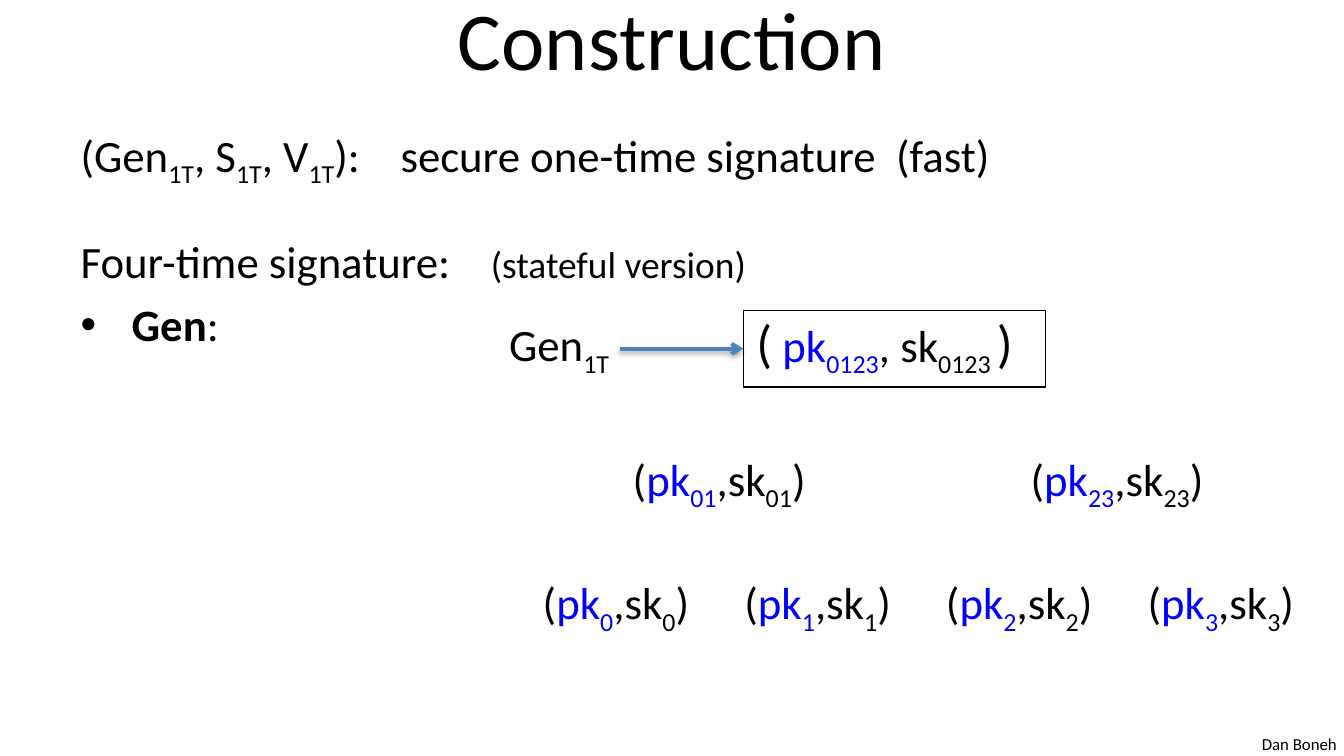
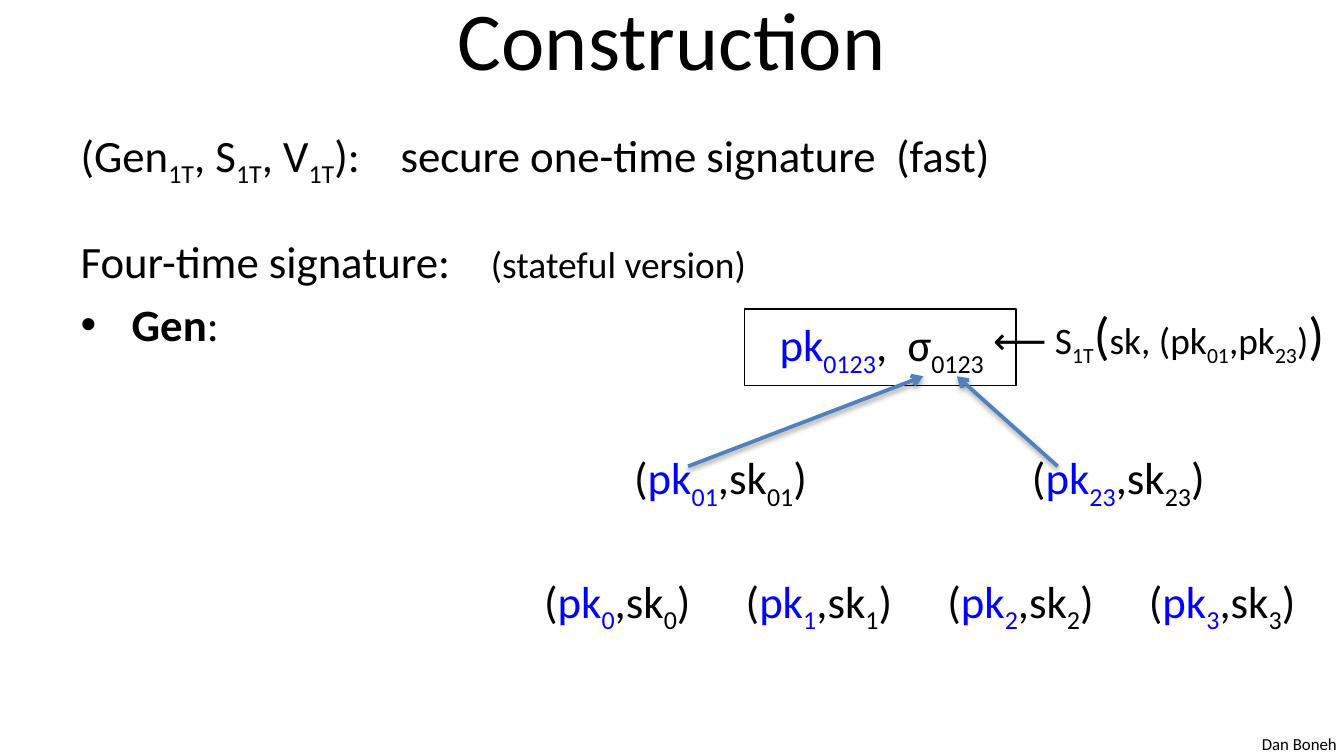
from typing import NamedTuple

from lxml import etree
from pptx import Presentation
from pptx import util as u
from pptx.dml.color import RGBColor
from pptx.enum import shapes, text
from pptx.oxml.ns import qn

BLACK = RGBColor(0, 0, 0)
BLUE = RGBColor(0, 0, 0xFF)
STEEL = RGBColor(0x4F, 0x81, 0xBD)
FONT = "Calibri"


class Run(NamedTuple):
    text: str
    size: float = 24
    ink: RGBColor = BLACK
    sub: bool = False
    bold: bool = False
    wide: float = 0


class Para(NamedTuple):
    runs: list[Run]
    gap: float = 0
    mark: str = ""


class Area(NamedTuple):
    x: float
    y: float
    w: float
    h: float

    def dims(self) -> list[int]:
        return [u.Inches(v) for v in self]


def low(tag: str, size: float = 24, ink: RGBColor = BLACK) -> Run:
    return Run(tag, size, ink, sub=True)


def pair(tag: str, comma: str = ",") -> list[Run]:
    return [Run("pk", ink=BLUE), low(tag, ink=BLUE), Run(comma + "sk"), low(tag)]


NARROW = Run(" ", wide=5.4)
BROAD = Run(" ", wide=16.3)
BODY = [
    Para([Run("(Gen"), low("1T"), Run(", S"), low("1T"), Run(", V"), low("1T"),
          Run("):"), BROAD, Run("secure one-time signature"), NARROW, Run("(fast)")]),
    Para([Run("Four-time signature:"), BROAD, Run("(stateful version)", 20)], gap=24.2),
    Para([Run("Gen", bold=True), Run(":")], gap=4.8, mark="•"),
]


def style(run, look: Run) -> None:
    font = run.font
    font.name, font.size, font.bold = FONT, u.Pt(look.size), look.bold
    font.color.rgb = look.ink
    props = run._r.get_or_add_rPr()
    if look.sub:
        props.set("baseline", "-25000")
    if look.wide:
        props.set("spc", str(round(look.wide * 100)))


def write(para, data: Para) -> None:
    props = para._p.get_or_add_pPr()
    hang = u.Inches(0.38) if data.mark else 0
    props.set("marL", str(hang))
    props.set("indent", str(-hang))
    if data.mark:
        etree.SubElement(props, qn("a:buChar")).set("char", data.mark)
    else:
        etree.SubElement(props, qn("a:buNone"))
    para.space_before = u.Pt(data.gap)
    for look in data.runs:
        run = para.add_run()
        run.text = look.text
        style(run, look)


def place(shape, area: Area) -> None:
    shape.left, shape.top, shape.width, shape.height = area.dims()


def label(slide, area: Area, runs: list[Run]) -> None:
    frame = slide.shapes.add_textbox(*area.dims()).text_frame
    frame.word_wrap = False
    frame.auto_size = text.MSO_AUTO_SIZE.SHAPE_TO_FIT_TEXT
    write(frame.paragraphs[0], Para(runs))


def panel(slide, area: Area, runs: list[Run], left: float = 0.1, top: float = 0):
    box = slide.shapes.add_shape(shapes.MSO_SHAPE.RECTANGLE, *area.dims())
    box.shadow.inherit = False
    box.fill.background()
    box.line.color.rgb, box.line.width = BLACK, u.Pt(0.75)
    frame = box.text_frame
    frame.word_wrap = True
    frame.vertical_anchor = text.MSO_ANCHOR.TOP
    frame.margin_left, frame.margin_top = u.Inches(left), u.Inches(top)
    frame.margin_right = frame.margin_bottom = u.Inches(0.1)
    frame.paragraphs[0].alignment = text.PP_ALIGN.LEFT
    write(frame.paragraphs[0], Para(runs))
    return box


def arrow(slide, x: int, y: int, to_x: int, to_y: int):
    link = slide.shapes.add_connector(
        shapes.MSO_CONNECTOR.STRAIGHT, x, y, to_x, to_y)
    link.line.color.rgb, link.line.width = STEEL, u.Pt(2)
    etree.SubElement(link.line._get_or_add_ln(), qn("a:tailEnd")).set("type", "arrow")
    props = link._element.spPr
    shade = etree.SubElement(
        etree.SubElement(props, qn("a:effectLst")), qn("a:outerShdw"),
        blurRad=str(u.Pt(3.1)), dist=str(u.Pt(1.6)), dir="5400000", rotWithShape="0")
    ink = etree.SubElement(shade, qn("a:srgbClr"), val=str(BLACK))
    etree.SubElement(ink, qn("a:alpha"), val="38000")
    return link


def start(deck):
    slide = deck.slides.add_slide(deck.slide_layouts[1])
    title, body = slide.placeholders
    place(title, Area(0.5, -0.19, 9, 0.94))
    title.text_frame.text = "Construction"
    title.text_frame.vertical_anchor = text.MSO_ANCHOR.MIDDLE
    head = title.text_frame.paragraphs[0]
    head.alignment = text.PP_ALIGN.CENTER
    style(head.runs[0], Run("", 44))
    place(body, Area(0.5, 0.9, 9, 1.92))
    frame = body.text_frame
    frame.auto_size = text.MSO_AUTO_SIZE.NONE
    for i, data in enumerate(BODY):
        write(frame.add_paragraph() if i else frame.paragraphs[0], data)
    label(slide, Area(9.29, 5.41, 0.76, 0.25), [Run("Dan Boneh", 9)])
    return slide


def tree(slide, x: float, y: float) -> None:
    def node(area: Area, tag: str) -> None:
        label(slide, area, [Run("("), *pair(tag), Run(")")])

    for i in range(4):
        node(Area(x + 1.5 * i, y + 0.92, 1.33, 0.5), str(i))
    for i, tag in enumerate(("01", "23")):
        node(Area(x + 0.67 + 2.96 * i, y, 1.56, 0.5), tag)


def keys(deck) -> None:
    slide = start(deck)
    tree(slide, 3.94, 3.31)
    root = panel(slide, Area(5.53, 2.31, 2.25, 0.57), [
        Run("(", 28), Run(" "), *pair("0123", ", "), low(" "), Run(")", 28)])
    label(slide, Area(3.69, 2.31, 0.98, 0.5), [Run("Gen"), low("1T")])
    mid = root.top + root.height // 2
    arrow(slide, u.Inches(4.61), mid, root.left, mid).end_connect(root, 1)


def sign(deck) -> None:
    slide = start(deck)
    tree(slide, 3.95, 3.3)
    panel(slide, Area(5.54, 2.3, 2.02, 0.57), [
        Run("pk", ink=BLUE), low("0123", ink=BLUE), Run(","), NARROW,
        Run("σ"), low("0123")], left=0.26, top=0.06)
    for x, to_x in ((5.12, 6.87), (7.87, 7.12)):
        arrow(slide, u.Inches(x), u.Inches(3.47), u.Inches(to_x), u.Inches(2.8))
    label(slide, Area(7.29, 2.2, 2.69, 0.57), [
        Run("⟵ S", 20), low("1T", 20), Run("(", 28), Run("sk, (pk", 20),
        low("01", 20), Run(",pk", 20), low("23", 20), Run(")", 20), Run(")", 28)])


def main() -> None:
    deck = Presentation()
    deck.slide_width = u.Inches(10)
    deck.slide_height = deck.slide_width * 9 // 16
    keys(deck)
    sign(deck)
    deck.save("out.pptx")


if __name__ == "__main__":
    main()
